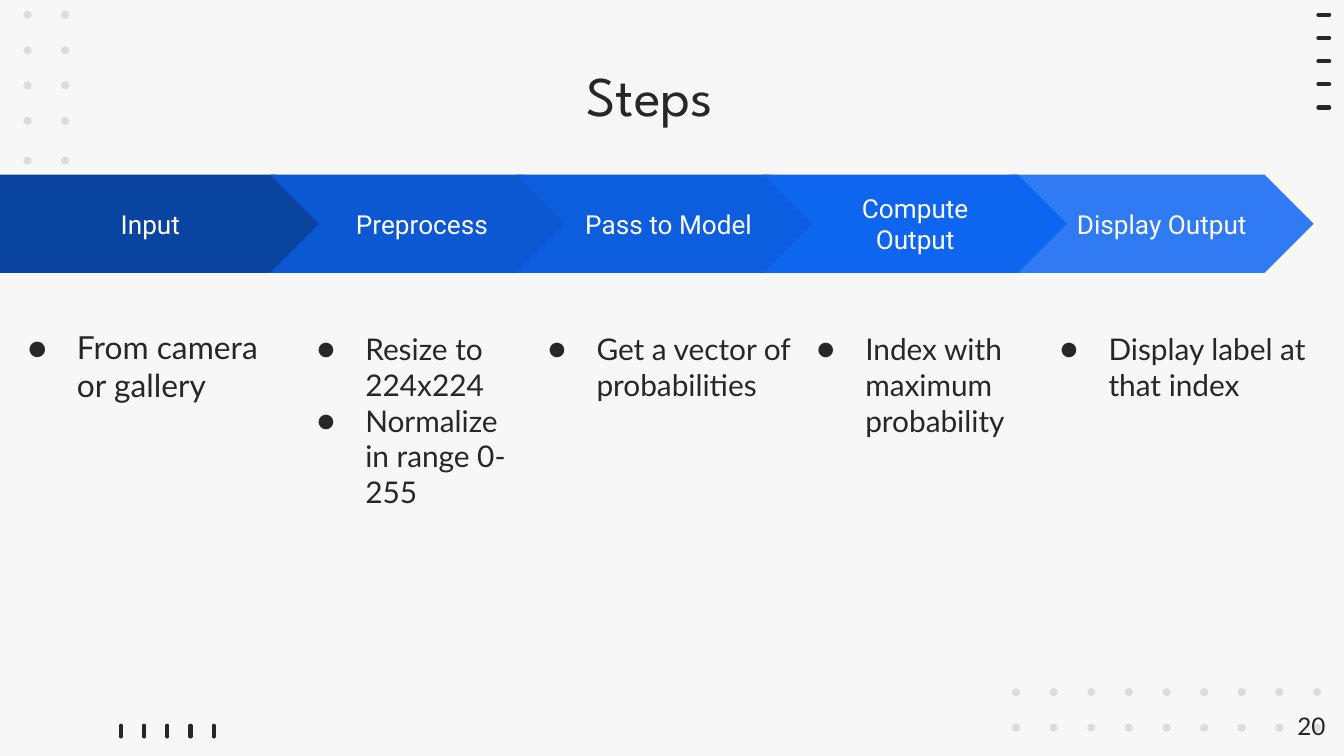
from lxml import etree
from pptx import Presentation
from pptx.dml.color import RGBColor
from pptx.enum.shapes import MSO_CONNECTOR, MSO_SHAPE
from pptx.enum.text import MSO_ANCHOR, MSO_AUTO_SIZE, PP_ALIGN
from pptx.oxml.ns import qn
from pptx.util import Pt

LEFT, CENTER, RIGHT = PP_ALIGN.LEFT, PP_ALIGN.CENTER, PP_ALIGN.RIGHT
TOP, MIDDLE = MSO_ANCHOR.TOP, MSO_ANCHOR.MIDDLE
PENTAGON, CHEVRON, OVAL = MSO_SHAPE.PENTAGON, MSO_SHAPE.CHEVRON, MSO_SHAPE.OVAL
STRAIGHT = MSO_CONNECTOR.STRAIGHT
FIT_SHAPE = MSO_AUTO_SIZE.SHAPE_TO_FIT_TEXT

# Content
TITLE = "Steps"
PAGE = "20"
# Steps from back to front: (column, label, fill)
STEPS = [
    (0, "Input", "0944A1"),
    (1, "Preprocess", "0C58D3"),
    (2, "Pass to Model", "0D5DDF"),
    (4, "Display Output", "307BF3"),
    (3, "Compute Output", "0E65F0"),
]
# Notes: (left, top, width, height, text size, hanging indent, items)
NOTES = [
    (-5, 468, 452, 154, "note_first", 73, ["From camera or gallery"]),
    (424, 472, 356, 310, "note", 72, ["Resize to 224x224", "Normalize in range 0-255"]),
    (768, 472, 436, 148, "note", 72, ["Get a vector of probabilities"]),
    (1168, 472, 436, 202, "note", 72, ["Index with maximum probability"]),
    (1530, 472, 436, 148, "note", 72, ["Display label at that index"]),
]

THEME = {
    "bg": "F7F7F7", "ink": "272727", "white": "FFFFFF",
    "title_font": "League Spartan", "step_font": "Roboto", "body_font": "Lato",
    "title": 30, "step": 14, "note_first": 17, "note": 16, "page": 13,
    "tick": 2.25, "dot_alpha": 13,
}

# Layout, at 200 px to the inch
PX = 4572
WIDTH, HEIGHT = 2000, 1125
STEP_TOP, STEP_HEIGHT = 260, 146
FIRST_WIDTH, STEP_WIDTH = 484, 452
STEP_LEFT, STEP_PITCH = 402, 367
DOT, DOT_PITCH = 12, 56
CORNER_ROWS = [16, 69, 121, 174, 233]
FOOTER_ROWS = [1024, 1077]
TICKS, TICK_SPAN, TICK_LENGTH = 5, 138, 16
INSET, NOTE_INDENT = 20, 100


def px(*values):
    return [round(v * PX) for v in values]


def rgb(name):
    return RGBColor.from_string(THEME.get(name, name))


def add_shape(slide, kind, box, fill, alpha=None):
    sp = slide.shapes.add_shape(kind, *px(*box))
    sp.shadow.inherit = False
    sp.fill.solid()
    sp.fill.fore_color.rgb = rgb(fill)
    sp.line.fill.background()
    if alpha:
        color = sp.fill._xPr.find(qn("a:solidFill"))[0]
        etree.SubElement(color, qn("a:alpha"), val=str(alpha * 1000))
    return sp


def add_tick(slide, x1, y1, x2, y2):
    line = slide.shapes.add_connector(STRAIGHT, *px(x1, y1, x2, y2))
    line.line.color.rgb = rgb("ink")
    line.line.width = Pt(THEME["tick"])
    line.line._get_or_add_ln().set("cap", "rnd")
    etree.SubElement(line._element.spPr, qn("a:effectLst"))


def add_bullet(p, hanging, font):
    indent, hang = px(NOTE_INDENT, hanging)
    pPr = p._p.get_or_add_pPr()
    pPr.set("marL", str(indent))
    pPr.set("indent", str(-hang))
    color = etree.SubElement(pPr, qn("a:buClr"))
    etree.SubElement(color, qn("a:srgbClr"), val=THEME["ink"])
    etree.SubElement(pPr, qn("a:buFont"), typeface=THEME[font])
    etree.SubElement(pPr, qn("a:buChar"), char="●")


def set_text(sp, lines, *, size, font="body_font", color="ink", align=LEFT,
             anchor=TOP, hanging=None, grow=False):
    tf = sp.text_frame
    tf.word_wrap = True
    tf.vertical_anchor = anchor
    if grow:
        tf.auto_size = FIT_SHAPE
    inset, = px(INSET)
    tf.margin_left = tf.margin_top = tf.margin_right = tf.margin_bottom = inset
    for i, line in enumerate(lines):
        p = tf.add_paragraph() if i else tf.paragraphs[0]
        p.alignment = align
        if hanging:
            add_bullet(p, hanging, font)
        r = p.add_run()
        r.text = line
        r.font.name = THEME[font]
        r.font.size = Pt(THEME[size])
        r.font.color.rgb = rgb(color)


def add_text(slide, box, lines, **fmt):
    set_text(slide.shapes.add_textbox(*px(*box)), lines, **fmt)


def add_dots(slide, left, columns, rows):
    for y in rows:
        for col in range(columns):
            add_shape(slide, OVAL, (left + col * DOT_PITCH, y, DOT, DOT),
                      "ink", THEME["dot_alpha"])


def main():
    prs = Presentation()
    prs.slide_width, prs.slide_height = px(WIDTH, HEIGHT)
    slide = prs.slides.add_slide(prs.slide_layouts[6])
    slide.background.fill.solid()
    slide.background.fill.fore_color.rgb = rgb("bg")

    # Corner decoration
    add_dots(slide, 1506, 9, FOOTER_ROWS)
    add_dots(slide, 35, 2, CORNER_ROWS)
    for i in range(TICKS):
        offset = i * TICK_SPAN / (TICKS - 1)
        add_tick(slide, 1962, 22 + offset, 1962 + TICK_LENGTH, 22 + offset)
        add_tick(slide, 180 + offset, 1080, 180 + offset, 1080 + TICK_LENGTH)

    # Row of steps
    for col, label, fill in STEPS:
        if col:
            kind, width = CHEVRON, STEP_WIDTH
            left = STEP_LEFT + (col - 1) * STEP_PITCH
        else:
            kind, width, left = PENTAGON, FIRST_WIDTH, 0
        sp = add_shape(slide, kind, (left, STEP_TOP, width, STEP_HEIGHT), fill)
        set_text(sp, [label], size="step", font="step_font", color="white",
                 align=CENTER, anchor=MIDDLE)

    # Notes under the steps
    for *box, size, hanging, items in NOTES:
        add_text(slide, box, items, size=size, hanging=hanging, grow=True)

    # Title and page number
    add_text(slide, (124, 70, 1686, 126), [TITLE], size="title",
             font="title_font", align=CENTER)
    add_text(slide, (1872, 1038, 120, 86), [PAGE], size="page", align=RIGHT)

    prs.save("out.pptx")


if __name__ == "__main__":
    main()
